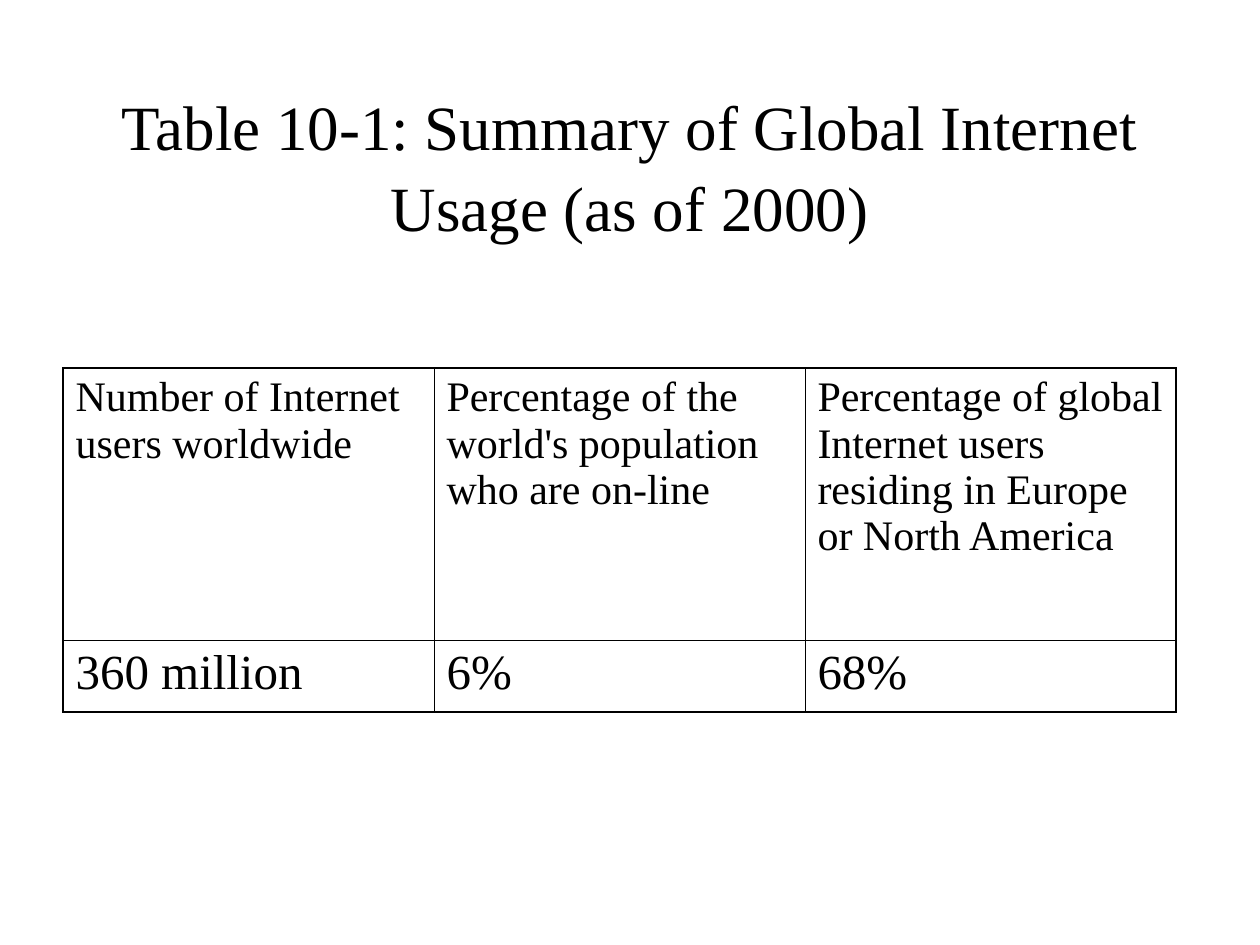
from pptx import Presentation
from pptx import util as u
from pptx.dml.color import RGBColor
from pptx.enum import text as t
from lxml import etree

PX = 914400 / 126
NS = "http://schemas.openxmlformats.org/drawingml/2006/main"
INK = "000000"


def px(*vals):
    return [u.Emu(round(v * PX)) for v in vals]


def style(para, size):
    look = {"name": "Times New Roman", "size": u.Pt(size), "bold": False}
    for key, val in look.items():
        setattr(para.font, key, val)
    para.font.color.rgb = RGBColor.from_string(INK)


deck = Presentation()
deck.slide_width, deck.slide_height = px(1260, 945)
slide = deck.slides.add_slide(deck.slide_layouts[6])

# Title
frame = slide.shapes.add_textbox(*px(94, 84, 1071, 158)).text_frame
frame.word_wrap = True
frame.vertical_anchor = t.MSO_ANCHOR.MIDDLE
head = frame.paragraphs[0]
head.text = "Table 10-1: Summary of Global Internet Usage (as of 2000)"
head.alignment = t.PP_ALIGN.CENTER
head.line_spacing = 1.07
style(head, 36)

# Table: row height, text size, cell texts
rows = [
    (272, 24, ["Number of Internet users worldwide",
               "Percentage of the world's population who are on-line",
               "Percentage of global Internet users residing in Europe or North America"]),
    (72, 28, ["360 million", "6%", "68%"]),
]
table = slide.shapes.add_table(2, 3, *px(63, 368, 1113, 344)).table
table.first_row = table.horz_banding = False
for col in table.columns:
    col.width = px(371)[0]

for r, (high, size, words) in enumerate(rows):
    table.rows[r].height = px(high)[0]
    for c, word in enumerate(words):
        cell = table.cell(r, c)
        cell.text = word
        style(cell.text_frame.paragraphs[0], size)

        # Borders: thick outside, thin inside
        prop = cell._tc.get_or_add_tcPr()
        edges = {"lnL": c == 0, "lnR": c == 2, "lnT": r == 0, "lnB": r == 1}
        for tag, outer in edges.items():
            wide = u.Pt(1.08 if outer else 0.45)
            line = etree.SubElement(prop, f"{{{NS}}}{tag}", w=str(wide))
            fill = etree.SubElement(line, f"{{{NS}}}solidFill")
            etree.SubElement(fill, f"{{{NS}}}srgbClr", val=INK)
        cell.fill.background()

deck.save("out.pptx")
